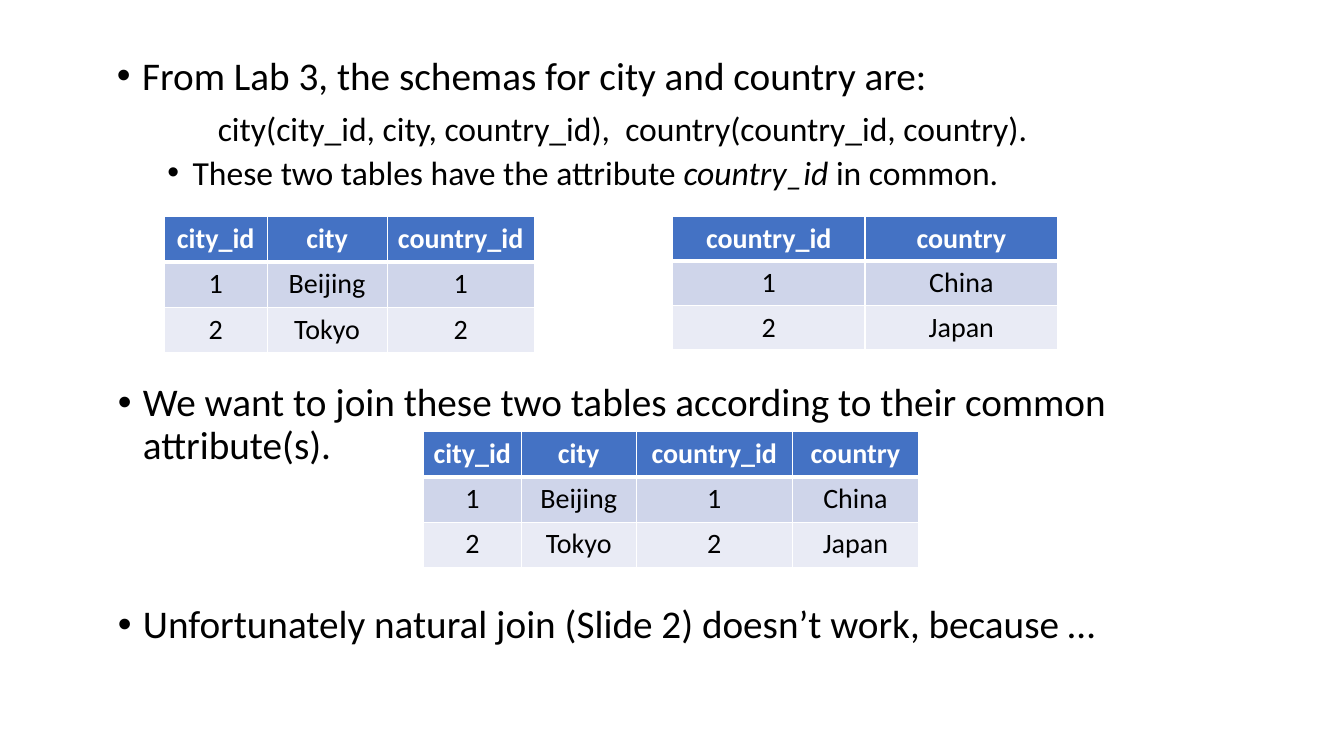
from lxml import etree
from pptx import Presentation
from pptx.dml.color import RGBColor
from pptx.enum.text import MSO_ANCHOR, MSO_AUTO_SIZE, PP_ALIGN
from pptx.oxml.ns import qn
from pptx.util import Inches, Pt

CENTER = PP_ALIGN.CENTER
TOP = MSO_ANCHOR.TOP
NO_AUTOFIT = MSO_AUTO_SIZE.NONE
FONT = "Calibri"
COLORS = {
    "text": "000000",
    "header": "4472C4",
    "header_text": "FFFFFF",
    "odd_row": "CFD5EA",
    "even_row": "E9EBF5",
    "border": "FFFFFF",
}


def write_list(box, place, items):
    """Place a text shape and fill it with (level, margin, bullet, size, spans) items."""
    box.left, box.top, box.width, box.height = [Inches(v) for v in place]
    frame = box.text_frame
    frame.word_wrap = True
    frame.auto_size = NO_AUTOFIT
    frame.vertical_anchor = TOP
    for index, (level, margin, bullet, size, spans) in enumerate(items):
        para = frame.add_paragraph() if index else frame.paragraphs[0]
        para.level = level
        para.line_spacing = 0.9
        para.space_before = Pt(5 if level else 10)
        props = para._p.get_or_add_pPr()
        props.set("marL", str(Inches(margin)))
        props.set("indent", str(Inches(-0.25 if bullet else 0)))
        if bullet:
            etree.SubElement(props, qn("a:buFont"), typeface="Arial")
            etree.SubElement(props, qn("a:buChar"), char="•")
        else:
            etree.SubElement(props, qn("a:buNone"))
        for text, italic in spans:
            span = para.add_run()
            span.text = text
            span.font.name = FONT
            span.font.size = Pt(size)
            span.font.italic = italic
            span.font.color.rgb = RGBColor.from_string(COLORS["text"])


def set_borders(cell, bottom_width):
    """Draw the four cell borders; they must come before the fill."""
    props = cell._tc.get_or_add_tcPr()
    widths = {"a:lnL": 1, "a:lnR": 1, "a:lnT": 1, "a:lnB": bottom_width}
    for position, (tag, width) in enumerate(widths.items()):
        line = etree.Element(qn(tag), w=str(Pt(width)))
        fill = etree.SubElement(line, qn("a:solidFill"))
        etree.SubElement(fill, qn("a:srgbClr"), val=COLORS["border"])
        props.insert(position, line)


deck = Presentation()
deck.slide_width = Inches(13.33)
deck.slide_height = Inches(7.5)
page = deck.slides.add_slide(deck.slide_layouts[1])

# The slide has no title
title = page.shapes.title
title._element.getparent().remove(title._element)

# Schemas of the two tables
write_list(page.placeholders[1], (1.06, 0.51, 11.47, 1.64), [
    (0, 0.25, True, 28, [("From Lab 3, the schemas for city and country are:", False)]),
    (0, 1, False, 24, [("city(city_id, city, country_id),  country(country_id, country).", False)]),
    (1, 0.75, True, 24, [
        ("These two tables have the attribute ", False),
        ("country_id ", True),
        ("in common.", False),
    ]),
])

# Remarks on joining
remarks = [
    (3.75, 1.06, "We want to join these two tables according to their common attribute(s)."),
    (5.95, 0.68, "Unfortunately natural join (Slide 2) doesn’t work, because …"),
]
for top, height, text in remarks:
    remark = page.shapes.add_textbox(0, 0, 0, 0)
    write_list(remark, (1.07, top, 11.47, height), [(0, 0.25, True, 28, [(text, False)])])

# Tables: city, country and their join
tables = [
    (1.63, 2.15, 0.45, [1.02, 1.19, 1.46], [
        ["city_id", "city", "country_id"],
        ["1", "Beijing", "1"],
        ["2", "Tokyo", "2"],
    ]),
    (6.67, 2.15, 0.44, [1.91, 1.91], [
        ["country_id", "country"],
        ["1", "China"],
        ["2", "Japan"],
    ]),
    (4.2, 4.28, 0.45, [0.97, 1.14, 1.55, 1.25], [
        ["city_id", "city", "country_id", "country"],
        ["1", "Beijing", "1", "China"],
        ["2", "Tokyo", "2", "Japan"],
    ]),
]
row_fills = ["header", "odd_row", "even_row"]
for left, top, row_height, widths, rows in tables:
    table = page.shapes.add_table(
        len(rows), len(widths), Inches(left), Inches(top),
        Inches(sum(widths)), Inches(row_height * len(rows))).table
    for column, width in zip(table.columns, widths):
        column.width = Inches(width)
    for r, values in enumerate(rows):
        table.rows[r].height = Inches(row_height)
        is_header = r == 0
        for c, value in enumerate(values):
            cell = table.cell(r, c)
            cell.fill.solid()
            cell.fill.fore_color.rgb = RGBColor.from_string(COLORS[row_fills[r]])
            set_borders(cell, 3 if is_header else 1)
            para = cell.text_frame.paragraphs[0]
            para.alignment = CENTER
            span = para.add_run()
            span.text = value
            span.font.name = FONT
            span.font.size = Pt(20)
            span.font.bold = is_header
            span.font.color.rgb = RGBColor.from_string(
                COLORS["header_text" if is_header else "text"])

deck.save("out.pptx")
